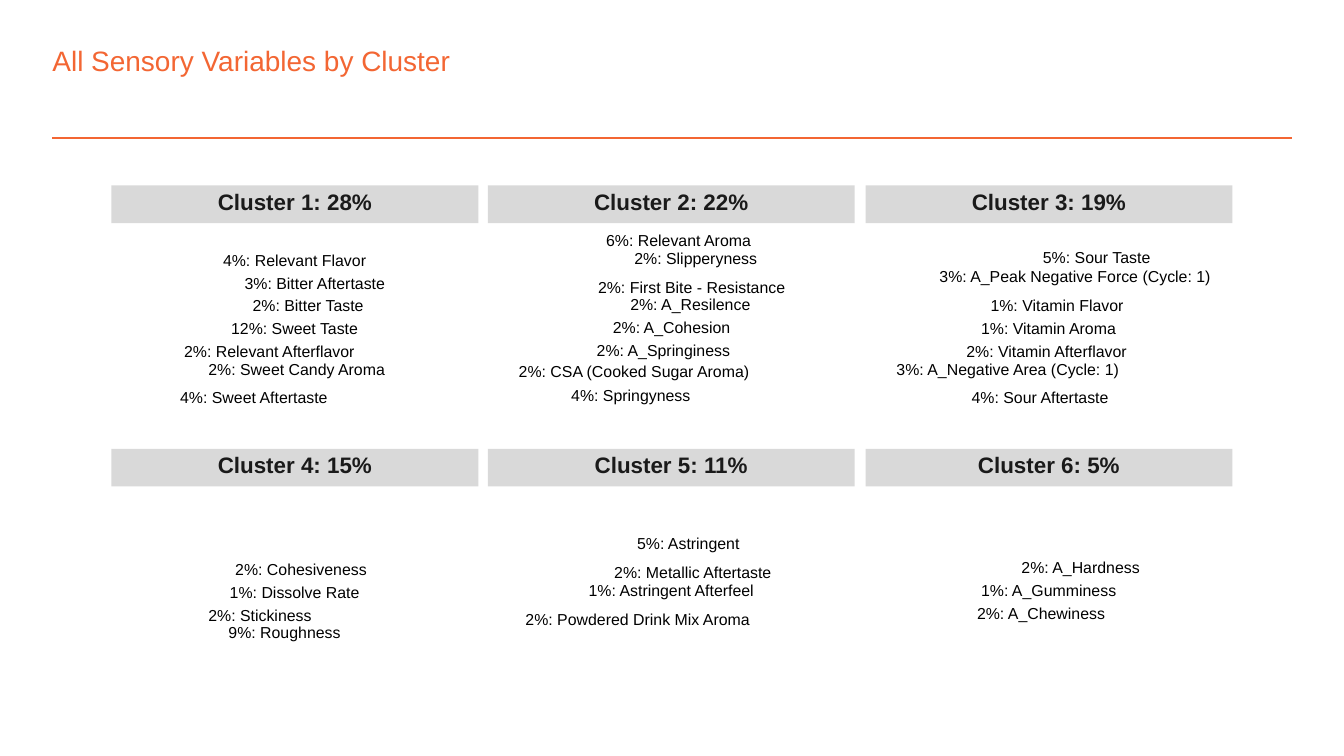
from dataclasses import dataclass

from lxml import etree
from pptx import Presentation
from pptx import util as u
from pptx.dml.color import RGBColor
from pptx.enum import shapes, text
from pptx.oxml.ns import qn

PX = 9144  # EMU per px, 100 px to the inch


@dataclass(frozen=True)
class Theme:
    font: str = "Arial"
    accent: str = "F36633"
    paper: str = "FFFFFF"
    band: str = "D9D9D9"
    heading: str = "1A1A1A"
    ink: str = "000000"
    title_size: float = 15
    heading_size: float = 12
    item_size: float = 8.5


# Each cluster: share, then its variables as (left, top, width, height, label)
CLUSTERS = [
    ("28%", [
        (166, 190, 107, 9, "4%: Relevant Flavor"),
        (182, 207, 105, 9, "3%: Bitter Aftertaste"),
        (188, 224, 84, 9, "2%: Bitter Taste"),
        (172, 241, 96, 9, "12%: Sweet Taste"),
        (137, 258, 128, 9, "2%: Relevant Afterflavor"),
        (155, 270, 132, 11, "2%: Sweet Candy Aroma"),
        (134, 292, 111, 9, "4%: Sweet Aftertaste"),
    ]),
    ("22%", [
        (451, 175, 109, 9, "6%: Relevant Aroma"),
        (472, 188, 92, 11, "2%: Slipperyness"),
        (445, 210, 140, 9, "2%: First Bite - Resistance"),
        (469, 222, 90, 11, "2%: A_Resilence"),
        (456, 239, 88, 11, "2%: A_Cohesion"),
        (444, 256, 100, 11, "2%: A_Springiness"),
        (386, 272, 173, 11, "2%: CSA (Cooked Sugar Aroma)"),
        (425, 290, 89, 11, "4%: Springyness"),
    ]),
    ("19%", [
        (776, 188, 82, 9, "5%: Sour Taste"),
        (699, 201, 204, 11, "3%: A_Peak Negative Force (Cycle: 1)"),
        (737, 224, 101, 9, "1%: Vitamin Flavor"),
        (730, 241, 102, 9, "1%: Vitamin Aroma"),
        (719, 258, 121, 9, "2%: Vitamin Afterflavor"),
        (667, 270, 168, 11, "3%: A_Negative Area (Cycle: 1)"),
        (723, 292, 103, 9, "4%: Sour Aftertaste"),
    ]),
    ("15%", [
        (175, 420, 98, 9, "2%: Cohesiveness"),
        (171, 437, 97, 9, "1%: Dissolve Rate"),
        (155, 454, 78, 9, "2%: Stickiness"),
        (170, 466, 84, 11, "9%: Roughness"),
    ]),
    ("11%", [
        (474, 400, 78, 11, "5%: Astringent"),
        (457, 422, 118, 9, "2%: Metallic Aftertaste"),
        (438, 435, 125, 11, "1%: Astringent Afterfeel"),
        (391, 457, 168, 9, "2%: Powdered Drink Mix Aroma"),
    ]),
    ("5%", [
        (760, 418, 89, 11, "2%: A_Hardness"),
        (730, 435, 101, 11, "1%: A_Gumminess"),
        (727, 452, 97, 11, "2%: A_Chewiness"),
    ]),
]
COLUMN_LEFTS = (83, 363, 644)
ROW_TOPS = (138, 334)
BAND_WIDTH, BAND_HEIGHT = 273, 28


class ClusterSlide:
    def __init__(self, deck, theme):
        self.theme = theme
        self.page = deck.slides.add_slide(deck.slide_layouts[6])

    def rule(self, left, top, right, color, weight):
        line = self.page.shapes.add_connector(
            shapes.MSO_CONNECTOR.STRAIGHT, left * PX, top * PX, right * PX, top * PX)
        line.line.color.rgb = RGBColor.from_string(color)
        line.line.width = u.Pt(weight)
        etree.SubElement(line._element.spPr, qn("a:effectLst"))

    def rectangle(self, left, top, width, height, fill, outline=None):
        box = self.page.shapes.add_shape(
            shapes.MSO_SHAPE.RECTANGLE, left * PX, top * PX, width * PX, height * PX)
        box.shadow.inherit = False
        box.fill.solid()
        box.fill.fore_color.rgb = RGBColor.from_string(fill)
        if outline:
            box.line.color.rgb = RGBColor.from_string(outline)
            box.line.width = u.Pt(0.75)
        else:
            box.line.fill.background()

    def label(self, left, top, width, height, words, size, color, bold=False,
              exact=True, align=text.PP_ALIGN.LEFT):
        """Add one line of text; exact sets the line height to the type size."""
        box = self.page.shapes.add_textbox(left * PX, top * PX, width * PX, height * PX)
        frame = box.text_frame
        frame.margin_left = frame.margin_top = frame.margin_right = frame.margin_bottom = 0
        frame.word_wrap = not exact
        frame.vertical_anchor = text.MSO_ANCHOR.MIDDLE if exact else text.MSO_ANCHOR.TOP
        para = frame.paragraphs[0]
        para.alignment = align
        if exact:
            para.line_spacing = u.Pt(size)
        span = para.add_run()
        span.text = words
        span.font.name = self.theme.font
        span.font.size = u.Pt(size)
        span.font.bold = bold
        span.font.color.rgb = RGBColor.from_string(color)

    def title(self, words):
        self.rule(39, 103, 961, self.theme.accent, 1)
        self.label(39, 32, 829, 25, words, self.theme.title_size, self.theme.accent,
                   exact=False)

    def cluster(self, left, top, heading, items):
        theme = self.theme
        self.rectangle(left, top, BAND_WIDTH, BAND_HEIGHT, theme.band)
        self.label(left + 70, top + 7, BAND_WIDTH - 140, 13, heading,
                   theme.heading_size, theme.heading, bold=True,
                   align=text.PP_ALIGN.CENTER)
        for *place, words in items:
            self.label(*place, words, theme.item_size, theme.ink)


def main():
    deck = Presentation()
    deck.slide_width = 1000 * PX
    deck.slide_height = deck.slide_width * 9 // 16
    theme = Theme()
    slide = ClusterSlide(deck, theme)
    slide.title("All Sensory Variables by Cluster")
    slide.rectangle(75, 130, 850, 400, theme.paper, outline=theme.paper)
    for index, (share, items) in enumerate(CLUSTERS):
        row, column = divmod(index, len(COLUMN_LEFTS))
        slide.cluster(COLUMN_LEFTS[column], ROW_TOPS[row],
                      f"Cluster {index + 1}: {share}", items)
    deck.save("out.pptx")


if __name__ == "__main__":
    main()
